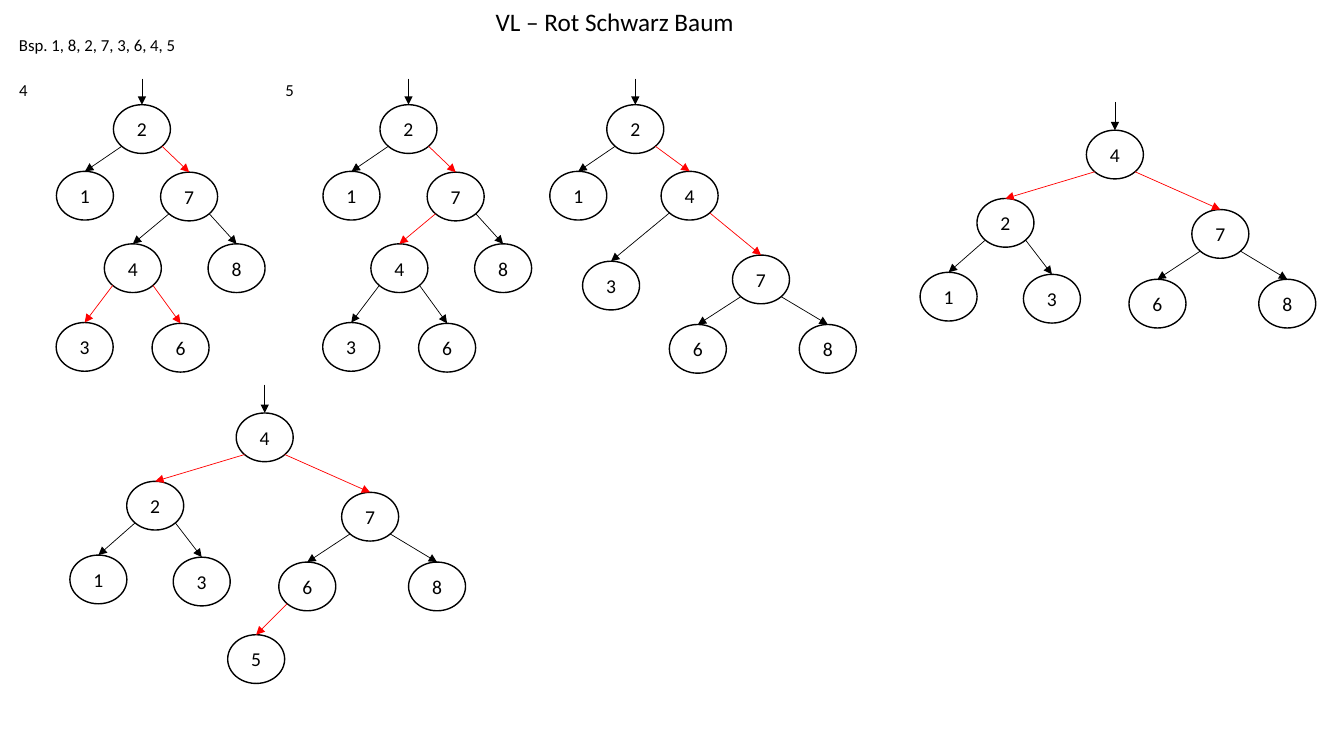
from dataclasses import dataclass
from math import sqrt

from lxml.etree import SubElement
from pptx import Presentation
from pptx.dml.color import RGBColor
from pptx.enum.shapes import MSO_CONNECTOR as Connector, MSO_SHAPE as Preset
from pptx.enum.text import MSO_ANCHOR as Anchor, MSO_AUTO_SIZE as AutoSize, PP_ALIGN as Align
from pptx.oxml.ns import qn
from pptx.shapes.autoshape import Shape
from pptx.shapes.connector import Connector as Arrow
from pptx.slide import Slide
from pptx.text.text import _Paragraph as Paragraph
from pptx.util import Pt

COLORS = {"black": "000000", "red": "FF0000"}
FONT = "Calibri"
NODE_WIDTH, NODE_HEIGHT = 40.7, 34.8
DIAGONAL = sqrt(0.5)


@dataclass(frozen=True)
class Label:
    text: str
    left: float
    top: float
    width: float
    height: float
    size: float = 12
    wrap: bool = True


@dataclass(frozen=True)
class Node:
    key: int
    parent: int | None
    dx: float
    dy: float


@dataclass(frozen=True)
class Tree:
    root_x: float
    root_top: float
    entry_length: float
    nodes: tuple[Node, ...]
    red_keys: frozenset[int]


LABELS = (
    Label("VL – Rot Schwarz Baum", 347, 0.7, 186.5, 29, size=18, wrap=False),
    Label("Bsp. 1, 8, 2, 7, 3, 6, 4, 5", 6.5, 21, 136, 21.8),
    Label("4", 6.5, 53.5, 23, 21.8),
    Label("5", 196.8, 53.5, 23, 21.8),
)

ROOT_TWO = (
    Node(2, None, 0, 0),
    Node(1, 2, -40.7, 47.6),
    Node(7, 2, 33.7, 48.2),
    Node(4, 7, -6.5, 99.4),
    Node(8, 7, 67.6, 99.4),
    Node(3, 4, -40.9, 155.6),
    Node(6, 4, 27.6, 156.2),
)
ROTATED_RIGHT = (
    Node(2, None, 0, 0),
    Node(1, 2, -40.7, 47.6),
    Node(4, 2, 38.8, 47.6),
    Node(3, 4, -17.3, 111.8),
    Node(7, 4, 89.8, 107.4),
    Node(6, 7, 44.7, 157),
    Node(8, 7, 137.5, 157),
)
ROOT_FOUR = (
    Node(4, None, 0, 0),
    Node(2, 4, -78.2, 48.8),
    Node(7, 4, 75.3, 56.7),
    Node(1, 2, -118.8, 101.5),
    Node(3, 2, -45, 103),
    Node(6, 7, 30.4, 106.5),
    Node(8, 7, 123.1, 106.5),
)
WITH_FIVE = ROOT_FOUR + (Node(5, 6, -6.1, 158.4),)

TREES = (
    Tree(101.4, 74.8, 18.6, ROOT_TWO, frozenset({7, 3, 6})),
    Tree(291.8, 74.8, 18.6, ROOT_TWO, frozenset({7, 4})),
    Tree(453.8, 74.8, 18.6, ROTATED_RIGHT, frozenset({4, 7})),
    Tree(796.4, 93, 20.3, ROOT_FOUR, frozenset({2, 7})),
    Tree(189.1, 295, 20.3, WITH_FIVE, frozenset({2, 7, 5})),
)


def style_text(paragraph: Paragraph, size: float) -> None:
    paragraph.font.name = FONT
    paragraph.font.size = Pt(size)
    paragraph.font.color.rgb = RGBColor.from_string(COLORS["black"])


def add_label(slide: Slide, label: Label) -> None:
    box = slide.shapes.add_textbox(
        Pt(label.left), Pt(label.top), Pt(label.width), Pt(label.height)
    )
    frame = box.text_frame
    frame.text = label.text
    frame.word_wrap = label.wrap
    frame.auto_size = AutoSize.SHAPE_TO_FIT_TEXT
    style_text(frame.paragraphs[0], label.size)


def add_node(slide: Slide, key: int, x: float, top: float) -> Shape:
    ellipse = slide.shapes.add_shape(
        Preset.OVAL, Pt(x - NODE_WIDTH / 2), Pt(top), Pt(NODE_WIDTH), Pt(NODE_HEIGHT)
    )
    ellipse.shadow.inherit = False
    ellipse.fill.background()
    ellipse.line.color.rgb = RGBColor.from_string(COLORS["black"])
    ellipse.line.width = Pt(1)
    frame = ellipse.text_frame
    frame.text = str(key)
    frame.vertical_anchor = Anchor.MIDDLE
    frame.paragraphs[0].alignment = Align.CENTER
    style_text(frame.paragraphs[0], 14)
    return ellipse


def add_arrow(
    slide: Slide, start: tuple[float, float], end: tuple[float, float], target: Shape, color: str
) -> Arrow:
    arrow = slide.shapes.add_connector(
        Connector.STRAIGHT, Pt(start[0]), Pt(start[1]), Pt(end[0]), Pt(end[1])
    )
    arrow.line.color.rgb = RGBColor.from_string(COLORS[color])
    arrow.line.width = Pt(0.5)
    SubElement(arrow.line._get_or_add_ln(), qn("a:tailEnd"), type="triangle")
    SubElement(arrow._element.spPr, qn("a:effectLst"))
    arrow.end_connect(target, 0)
    return arrow


def add_tree(slide: Slide, tree: Tree) -> None:
    by_key = {node.key: node for node in tree.nodes}
    for node in tree.nodes:
        x, top = tree.root_x + node.dx, tree.root_top + node.dy
        ellipse = add_node(slide, node.key, x, top)
        if node.parent is None:
            start = (x, top - tree.entry_length)
        else:
            parent = by_key[node.parent]
            side = -1 if node.dx < parent.dx else 1
            start = (
                tree.root_x + parent.dx + side * DIAGONAL * NODE_WIDTH / 2,
                tree.root_top + parent.dy + (1 + DIAGONAL) * NODE_HEIGHT / 2,
            )
        color = "red" if node.key in tree.red_keys else "black"
        add_arrow(slide, start, (x, top), ellipse, color)


def main() -> None:
    presentation = Presentation()
    presentation.slide_width = Pt(960)
    presentation.slide_height = Pt(540)
    slide = presentation.slides.add_slide(presentation.slide_layouts[6])
    for label in LABELS:
        add_label(slide, label)
    for tree in TREES:
        add_tree(slide, tree)
    presentation.save("out.pptx")


if __name__ == "__main__":
    main()
